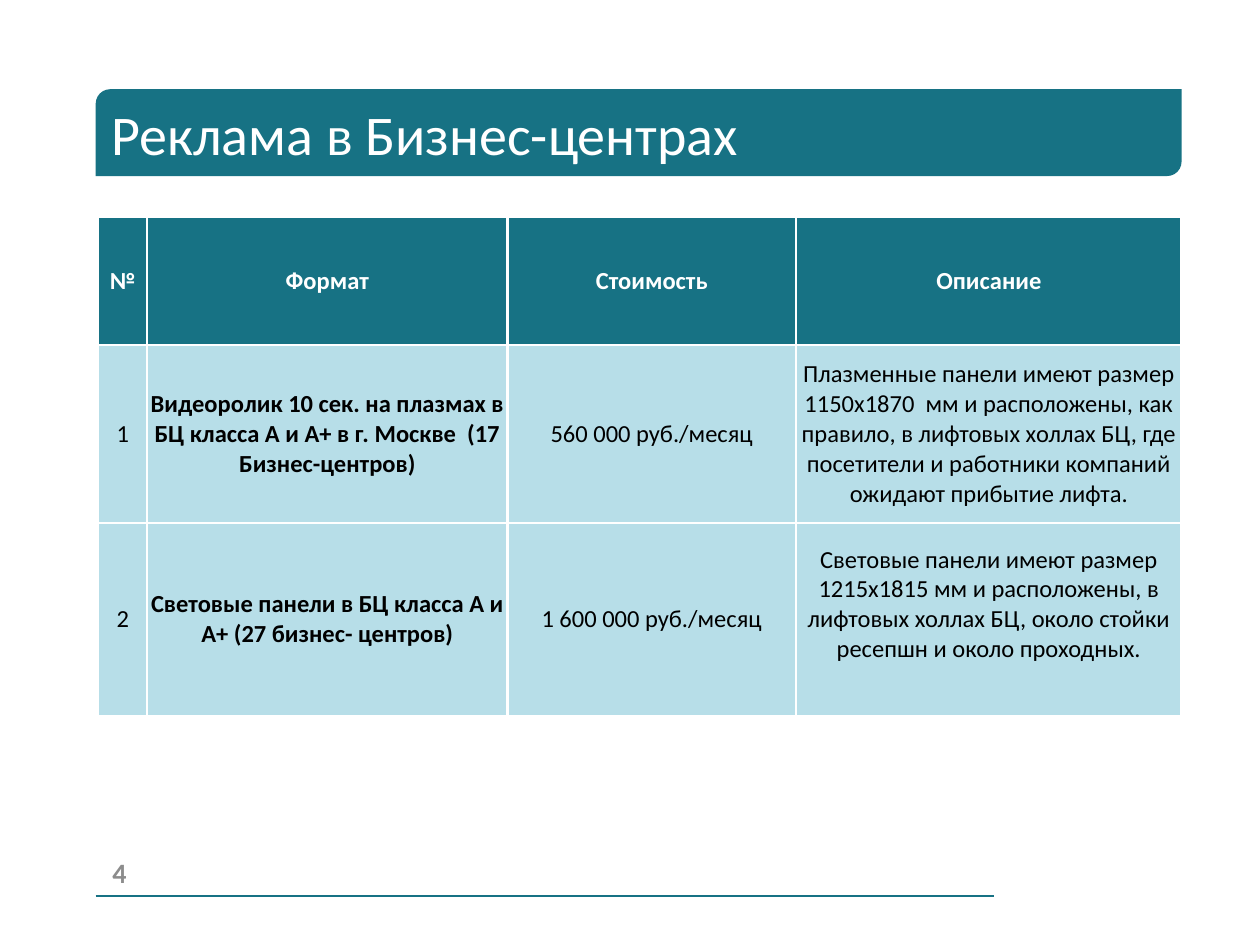
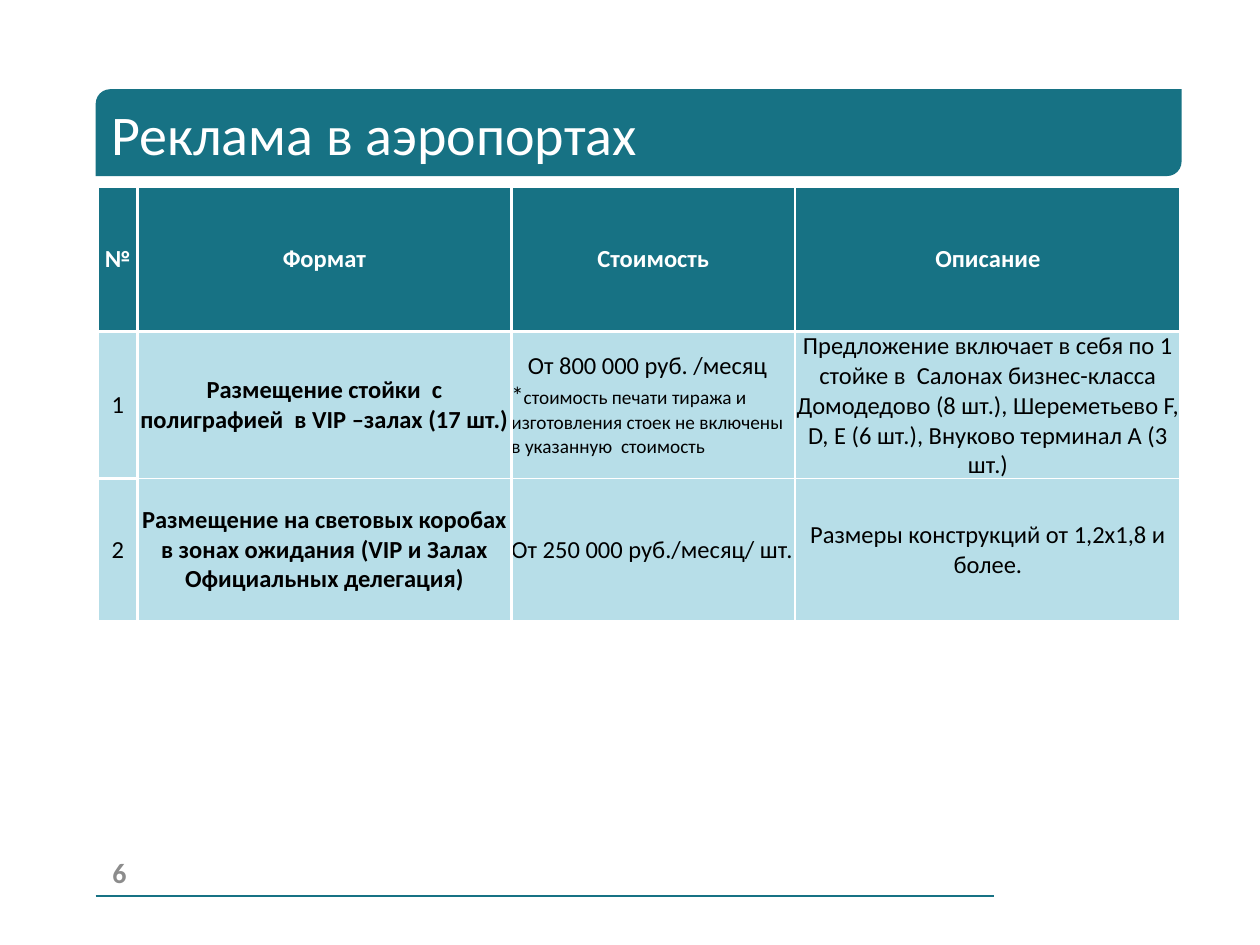
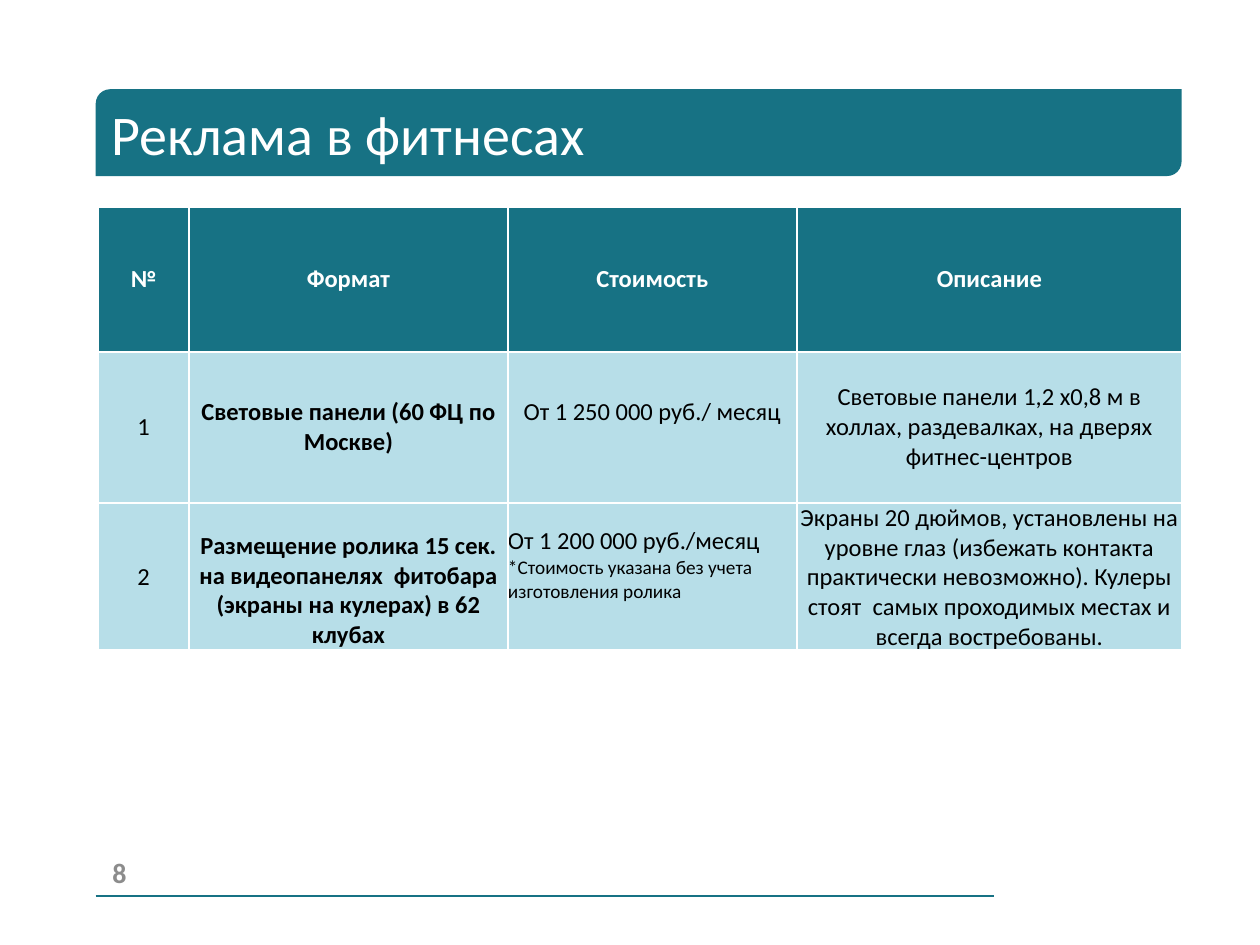
from dataclasses import dataclass

from lxml import etree
from pptx import Presentation
from pptx.dml.color import RGBColor
from pptx.enum.shapes import MSO_CONNECTOR, MSO_SHAPE
from pptx.enum.text import MSO_ANCHOR, PP_ALIGN
from pptx.oxml.ns import qn
from pptx.util import Cm, Pt

LEFT, CENTER, RIGHT = PP_ALIGN.LEFT, PP_ALIGN.CENTER, PP_ALIGN.RIGHT
MIDDLE, BOTTOM = MSO_ANCHOR.MIDDLE, MSO_ANCHOR.BOTTOM
BAND, STRAIGHT = MSO_SHAPE.ROUND_2_DIAG_RECTANGLE, MSO_CONNECTOR.STRAIGHT


@dataclass(frozen=True)
class Theme:
    font: str = "Calibri"
    teal: str = "177284"
    pale: str = "B7DEE8"
    white: str = "FFFFFF"
    black: str = "000000"
    grey: str = "8C8C8C"
    title: int = 32
    page: int = 16
    body: int = 14
    note: int = 11
    rule: float = 1.5
    thin_rule: float = 1


THEME = Theme()

# Content: a cell is a text, or a dict with paragraphs made of (text, size) runs
HEADER = ["№", "Формат", "Стоимость", "Описание"]
FORMAT_COLUMN = 1

SLIDES = [
    {
        "title": "Реклама в Бизнес-центрах", "page": "4", "top": 4.37,
        "columns": [0.99, 7.26, 5.82, 7.77], "rows": [2.59, 3.58, 3.89],
        "offers": [
            ["1",
             "Видеоролик 10 сек. на плазмах в БЦ класса А и А+ в г. Москве  (17 Бизнес-центров)",
             "560 000 руб./месяц",
             "Плазменные панели имеют размер 1150x1870  мм и расположены, как правило, "
             "в лифтовых холлах БЦ, где посетители и работники компаний ожидают прибытие лифта."],
            ["2",
             "Световые панели в БЦ класса А и А+ (27 бизнес- центров)",
             "1 600 000 руб./месяц",
             {"text": "Световые панели имеют размер 1215х1815 мм и расположены, в лифтовых "
                      "холлах БЦ, около стойки ресепшн и около проходных.",
              "lift": 0.6}],
        ],
    },
    {
        "title": "Реклама в аэропортах", "page": "6", "top": 3.76,
        "columns": [0.79, 7.54, 5.72, 7.77], "rows": [2.92, 2.95, 2.87],
        "offers": [
            ["1",
             "Размещение стойки  с полиграфией  в VIP –залах (17 шт.)",
             {"paragraphs": [[("От 800 000 руб. /месяц *", THEME.body),
                              ("стоимость печати тиража и изготовления стоек не включены "
                               "в указанную  стоимость", THEME.note)]],
              "align": LEFT, "indent": 0.33},
             "Предложение включает в себя по 1 стойке в  Салонах бизнес-класса "
             "Домодедово (8 шт.), Шереметьево F, D, E (6 шт.), Внуково терминал А (3 шт.)"],
            ["2",
             "Размещение на световых коробах в зонах ожидания (VIP и Залах Официальных делегация)",
             {"text": "От 250 000 руб./месяц/ шт.", "align": LEFT},
             "Размеры конструкций от 1,2х1,8 и более."],
        ],
    },
    {
        "title": "Реклама в фитнесах", "page": "8", "top": 4.17,
        "columns": [1.83, 6.43, 5.82, 7.77], "rows": [2.92, 3.05, 2.95],
        "offers": [
            ["1",
             "Световые панели (60 ФЦ по Москве)",
             {"text": "От 1 250 000 руб./ месяц", "lift": 0.6},
             "Световые панели 1,2 х0,8 м в холлах, раздевалках, на дверях фитнес-центров"],
            ["2",
             {"text": "Размещение ролика 15 сек. на видеопанелях  фитобара "
                      "(экраны на кулерах) в 62 клубах",
              "anchor": BOTTOM},
             {"paragraphs": [[("От 1 200 000 руб./месяц", THEME.body)],
                             [("*Стоимость указана без учета изготовления ролика", THEME.note)]],
              "align": LEFT, "lift": 0.48},
             {"text": "Экраны 20 дюймов, установлены на уровне глаз (избежать контакта "
                      "практически невозможно). Кулеры стоят  самых проходимых местах "
                      "и всегда востребованы.",
              "anchor": BOTTOM}],
        ],
    },
]

# Shared geometry, cm
SLIDE_SIZE = (25.4, 19.05)
TITLE_BAND = (1.93, 1.8, 21.89, 1.75)
PAGE_BOX = (1.35, 17.07, 1.45, 1.02)
FOOTER_START, FOOTER_END, FOOTER_Y = 1.93, 20.04, 18.06
TABLE_LEFT = 1.98


def color(value):
    return RGBColor.from_string(value)


def style(run, size, ink, bold=False):
    run.font.name = THEME.font
    run.font.size = Pt(size)
    run.font.bold = bold
    run.font.color.rgb = color(ink)


def add_frame(slide):
    """Title band, page number and footer line shared by all slides."""


def draw_title(slide, title):
    band = slide.shapes.add_shape(BAND, *map(Cm, TITLE_BAND))
    band.shadow.inherit = False
    band.fill.solid()
    band.fill.fore_color.rgb = color(THEME.teal)
    band.line.fill.background()
    frame = band.text_frame
    frame.word_wrap = True
    frame.vertical_anchor = MIDDLE
    frame.margin_left = frame.margin_right = Cm(0.23)
    frame.margin_top = frame.margin_bottom = Cm(0.1)
    frame.text = title
    frame.paragraphs[0].alignment = LEFT
    style(frame.paragraphs[0].runs[0], THEME.title, THEME.white)


def draw_footer(slide, page):
    number = slide.shapes.add_textbox(*map(Cm, PAGE_BOX)).text_frame
    number.word_wrap = True
    number.vertical_anchor = MIDDLE
    number.text = page
    number.paragraphs[0].alignment = RIGHT
    style(number.paragraphs[0].runs[0], THEME.page, THEME.grey, bold=True)

    rule = slide.shapes.add_connector(
        STRAIGHT, Cm(FOOTER_START), Cm(FOOTER_Y), Cm(FOOTER_END), Cm(FOOTER_Y))
    rule.line.color.rgb = color(THEME.teal)
    rule.line.width = Pt(THEME.rule)
    etree.SubElement(rule._element.spPr, qn("a:effectLst"))


def draw_borders(cell, top, bottom):
    properties = cell._tc.get_or_add_tcPr()
    sides = [("lnL", THEME.rule), ("lnR", THEME.rule), ("lnT", top), ("lnB", bottom)]
    for position, (side, width) in enumerate(sides):
        line = etree.Element(qn(f"a:{side}"), w=str(Pt(width)))
        fill = etree.SubElement(line, qn("a:solidFill"))
        etree.SubElement(fill, qn("a:srgbClr"), val=THEME.white)
        properties.insert(position, line)


def fill_cell(cell, content, background, ink, bold):
    if isinstance(content, str):
        content = {"text": content}
    cell.fill.solid()
    cell.fill.fore_color.rgb = color(background)
    cell.margin_left = cell.margin_right = cell.margin_top = 0
    cell.margin_bottom = Cm(content.get("lift", 0))
    cell.vertical_anchor = content.get("anchor", MIDDLE)
    paragraphs = content.get("paragraphs") or [[(content["text"], THEME.body)]]
    frame = cell.text_frame
    for index, runs in enumerate(paragraphs):
        paragraph = frame.add_paragraph() if index else frame.paragraphs[0]
        paragraph.alignment = content.get("align", CENTER)
        if "indent" in content:
            paragraph._p.get_or_add_pPr().set("indent", str(Cm(content["indent"])))
        for text, size in runs:
            run = paragraph.add_run()
            run.text = text
            style(run, size, ink, bold)


def draw_offers(slide, data):
    lines = [HEADER] + data["offers"]
    widths, heights = data["columns"], data["rows"]
    table = slide.shapes.add_table(
        len(lines), len(HEADER), Cm(TABLE_LEFT), Cm(data["top"]),
        Cm(sum(widths)), Cm(sum(heights))).table
    for column, width in zip(table.columns, widths):
        column.width = Cm(width)
    for row, height in zip(table.rows, heights):
        row.height = Cm(height)

    for r, line in enumerate(lines):
        for c, content in enumerate(line):
            cell = table.cell(r, c)
            if r == 0:
                fill_cell(cell, content, THEME.teal, THEME.white, bold=True)
            else:
                fill_cell(cell, content, THEME.pale, THEME.black, bold=c == FORMAT_COLUMN)
            # Offers are parted by a thinner rule, except in the number column
            inner = THEME.thin_rule if c else THEME.rule
            draw_borders(cell, top=inner if r > 1 else THEME.rule,
                         bottom=inner if r else THEME.rule)


def main():
    deck = Presentation()
    deck.slide_width, deck.slide_height = map(Cm, SLIDE_SIZE)
    blank = deck.slide_layouts[6]
    for data in SLIDES:
        slide = deck.slides.add_slide(blank)
        draw_title(slide, data["title"])
        draw_footer(slide, data["page"])
        draw_offers(slide, data)
    deck.save("out.pptx")


if __name__ == "__main__":
    main()
